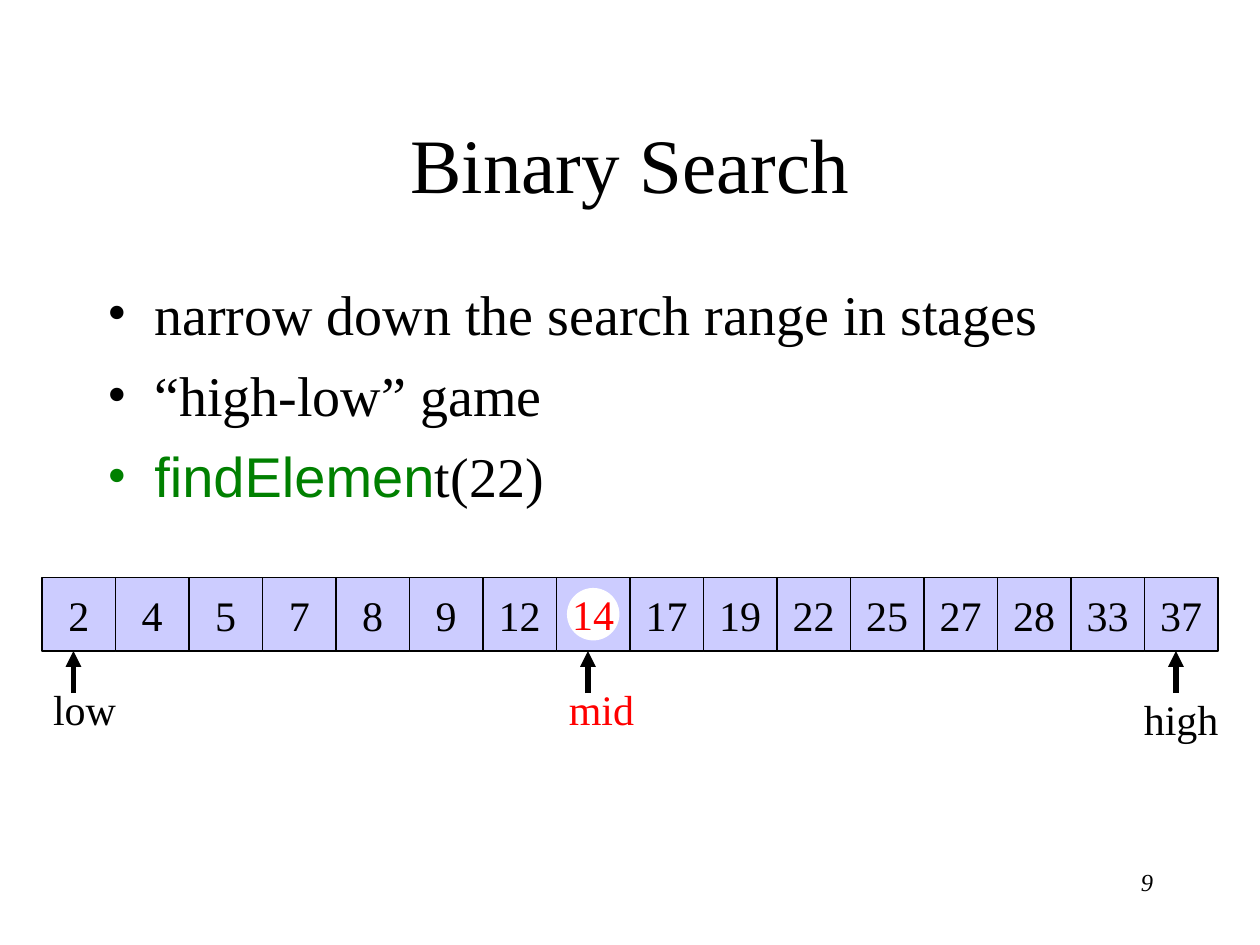
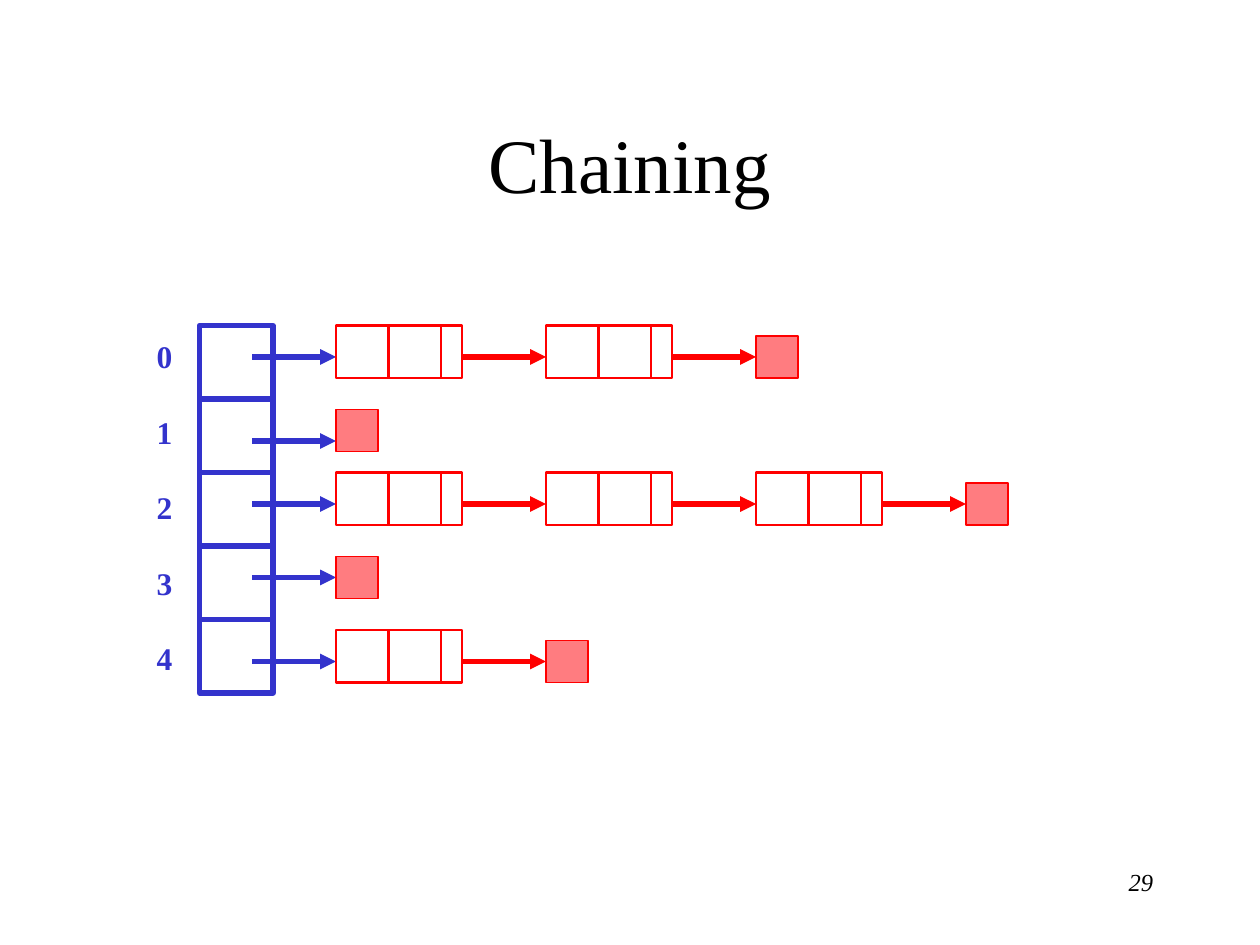
from lxml.etree import SubElement
from pptx import Presentation
from pptx.dml.color import RGBColor
from pptx.enum.shapes import MSO_CONNECTOR, MSO_SHAPE
from pptx.enum.text import MSO_ANCHOR, MSO_AUTO_SIZE, PP_ALIGN
from pptx.oxml.ns import qn
from pptx.util import Emu, Pt

SCALE = 9525
SERIF, SANS = "Times New Roman", "Arial"
HUES = {
    "ink": "000000",
    "paper": "FFFFFF",
    "cell": "CCCCFF",
    "red": "FF0000",
    "pink": "FF7C80",
    "blue": "3333CC",
    "green": "008000",
}
TITLE = (72, 64, 816, 120)
BODY = (72, 208, 816, 432)
FOOT = (688, 656, 200, 48)
CELL = 56


def px(*nums):
    """Turn px lengths into EMU."""
    return [Emu(num * SCALE) for num in nums]


def hue(name):
    """Give a named colour."""
    return RGBColor.from_string(HUES[name])


def style(font, size, color="ink", face=SERIF, bold=False, slant=False):
    """Format one font."""
    font.name, font.size = face, Pt(size)
    font.bold, font.italic = bold, slant
    font.color.rgb = hue(color)


def write(frame, text, size, color="ink", align=PP_ALIGN.LEFT, gap=0, **look):
    """Fill a text frame, one paragraph per line of text."""
    frame.text = text
    for i, para in enumerate(frame.paragraphs):
        para.alignment = align
        para.line_spacing = Pt(size * 1.2)
        para.space_before = Pt(gap if i else 0)
        for run in para.runs:
            style(run.font, size, color, **look)


def place(shape, box):
    """Move a placeholder to a box."""
    shape.left, shape.top, shape.width, shape.height = px(*box)
    shape.text_frame.auto_size = MSO_AUTO_SIZE.NONE


def label(slide, box, text, size, color="ink", wrap=False, **look):
    """Add a text box."""
    frame = slide.shapes.add_textbox(*px(*box)).text_frame
    frame.word_wrap = wrap
    write(frame, text, size, color, **look)


def block(slide, box, fill=None, line=None, width=1, text="", color="ink",
          kind=MSO_SHAPE.RECTANGLE):
    """Add a flat shape with optional fill, line and centred text."""
    shape = slide.shapes.add_shape(kind, *px(*box))
    shape.shadow.inherit = False
    if fill:
        shape.fill.solid()
        shape.fill.fore_color.rgb = hue(fill)
    else:
        shape.fill.background()
    if line:
        shape.line.color.rgb = hue(line)
        shape.line.width = Pt(width)
    else:
        shape.line.fill.background()
    if text:
        frame = shape.text_frame
        frame.word_wrap = False
        frame.vertical_anchor = MSO_ANCHOR.MIDDLE
        write(frame, text, 24, color, PP_ALIGN.CENTER)


def arrow(slide, ends, color):
    """Add a straight arrow."""
    link = slide.shapes.add_connector(MSO_CONNECTOR.STRAIGHT, *px(*ends))
    link.line.color.rgb = hue(color)
    link.line.width = Pt(3)
    props = link.element.spPr
    SubElement(props.find(qn("a:ln")), qn("a:tailEnd"), type="triangle")
    SubElement(props, qn("a:effectLst"))


def start(deck, layout, title, page):
    """Add a slide with its title and page number."""
    slide = deck.slides.add_slide(deck.slide_layouts[layout])
    head = slide.shapes.title
    place(head, TITLE)
    head.text_frame.vertical_anchor = MSO_ANCHOR.MIDDLE
    write(head.text_frame, title, 44, align=PP_ALIGN.CENTER)
    label(slide, FOOT, page, 14, wrap=True, align=PP_ALIGN.RIGHT, slant=True)
    return slide


def bullets(slide, box):
    """Fill the body with the search points."""
    body = slide.placeholders[1]
    place(body, box)
    frame = body.text_frame
    write(frame, "narrow down the search range in stages\n"
          "“high-low” game\nfindElemen", 32, gap=8)
    for para, color in zip(frame.paragraphs, ("ink", "ink", "green")):
        props = para._p.get_or_add_pPr()
        props.set("marL", str(36 * SCALE))
        props.set("indent", str(-36 * SCALE))
        tint = SubElement(props, qn("a:buClr"))
        SubElement(tint, qn("a:srgbClr"), val=HUES[color])
        SubElement(props, qn("a:buFont"), typeface=SERIF)
        SubElement(props, qn("a:buChar"), char="•")
    call = frame.paragraphs[-1]
    style(call.runs[0].font, 32, "green", SANS)
    rest = call.add_run()
    rest.text = "t(22)"
    style(rest.font, 32)


def array(slide, left, top):
    """Draw the sorted array, its middle and its pointers."""
    nums = (2, 4, 5, 7, 8, 9, 12, 14, 17, 19, 22, 25, 27, 28, 33, 37)
    mid = nums.index(14)
    for i, num in enumerate(nums):
        text = "" if i == mid else str(num)
        block(slide, (left + i * CELL, top, CELL, CELL), "cell", "ink", 0.75, text)
    block(slide, (left + mid * CELL + 8, top + 8, 40, 40), "paper",
          text="14", color="red", kind=MSO_SHAPE.OVAL)
    marks = (("low", 24, -1, 76, 67, "ink"), ("mid", 416, 392, 76, 69, "red"),
             ("high", 864, 830, 84, 76, "ink"))
    for text, tip, side, drop, wide, color in marks:
        label(slide, (left + side, top + drop, wide, 48), text, 24, color)
        x = left + tip
        arrow(slide, (x, top + 88, x, top + CELL), "ink")


def chain(slide, left, mid, nil, count):
    """Draw linked nodes and the end square of one bucket."""
    for x in range(left, left + count * 160, 160):
        for shift, wide in ((0, 40), (40, 40), (80, 16)):
            block(slide, (x + shift, mid - 24, wide, 40), line="red", width=1.5)
        arrow(slide, (x + 96, mid, x + 160, mid), "red")
    block(slide, (left + count * 160, nil, 32, 32), "pink", "red")


def buckets(slide, left, top):
    """Draw the bucket table with its index and chains."""
    rows = ((24, 8, 2), (88, 64, 0), (136, 120, 3), (192, 176, 0), (256, 240, 1))
    for i in range(len(rows)):
        block(slide, (left, top + i * CELL, CELL, CELL), line="blue", width=3)
    for mid, nil, count in rows:
        y = top + mid
        arrow(slide, (left + 40, y, left + 104, y), "blue")
        chain(slide, left + 104, y, top + nil, count)
    index = "\n".join(str(i) for i in range(len(rows)))
    label(slide, (left - 42, top + 4, 31, 269), index, 18, "blue", gap=21.6, bold=True)


def main():
    """Build and save the deck."""
    deck = Presentation()
    deck.slide_width, deck.slide_height = px(960, 720)
    search = start(deck, 1, "Binary Search", "9")
    bullets(search, BODY)
    array(search, 32, 440)
    buckets(start(deck, 5, "Chaining", "29"), 152, 248)
    deck.save("out.pptx")


if __name__ == "__main__":
    main()
